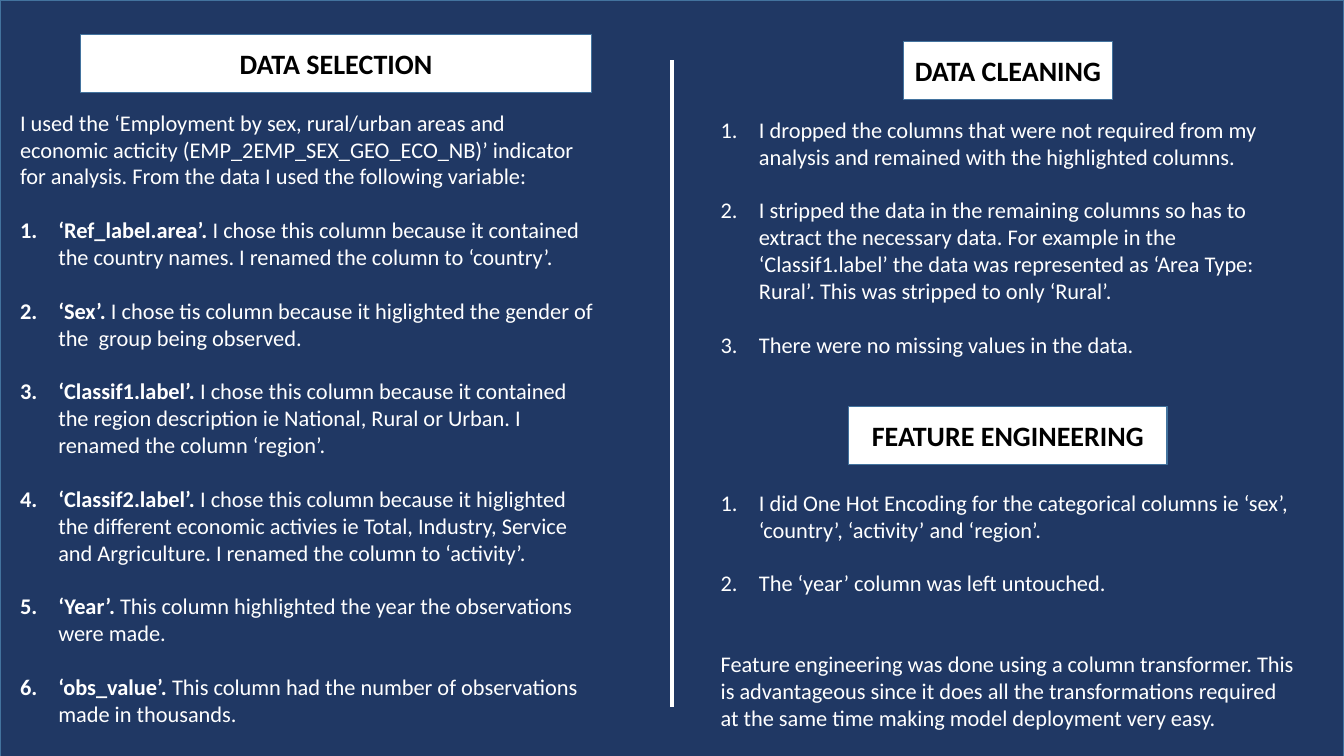
from pptx import Presentation
from pptx.dml.color import RGBColor as RGB
from pptx.enum.shapes import MSO_CONNECTOR as Link, MSO_SHAPE as Shape
from pptx.enum.text import MSO_ANCHOR as Anchor, MSO_AUTO_SIZE as Fit, PP_ALIGN as Align
from pptx.oxml.ns import qn
from pptx.util import Inches, Pt
from lxml.etree import SubElement as Sub


def color(code):
    return RGB.from_string(code)


class Deck:
    """Style and current slide; lengths are percents of the slide's size."""
    navy, edge, white, black = "203864", "43739E", "FFFFFF", "000000"
    body = {"name": "Calibri", "size": Pt(16), "bold": False}
    title = {"name": "Calibri", "size": Pt(20), "bold": True}
    gap = 19.2  # one line of body text, in points

    def __init__(self):
        self.prs = Presentation()
        self.prs.slide_width, self.prs.slide_height = Inches(13.33), Inches(7.5)
        self.slide = self.prs.slides.add_slide(self.prs.slide_layouts[6])

    def place(self, x, y, w, h):
        wide, high = self.prs.slide_width, self.prs.slide_height
        return [int(part * full / 100)
                for part, full in zip((x, y, w, h), (wide, high, wide, high))]

    def run(self, para, text, look, tint, **more):
        run = para.add_run()
        run.text = text
        for key, value in {**look, **more}.items():
            setattr(run.font, key, value)
        run.font.color.rgb = color(tint)

    def rect(self, x, y, w, h, fill):
        box = self.slide.shapes.add_shape(Shape.RECTANGLE, *self.place(x, y, w, h))
        box.shadow.inherit = False
        box.fill.solid()
        box.fill.fore_color.rgb = color(fill)
        box.line.color.rgb = color(self.edge)
        box.line.width = Pt(1)
        return box

    def head(self, mid, y, w, text):
        """Heading box centred on mid."""
        frame = self.rect(mid - w / 2, y, w, 7.73, self.white).text_frame
        frame.word_wrap = False
        frame.vertical_anchor = Anchor.MIDDLE
        para = frame.paragraphs[0]
        para.alignment = Align.CENTER
        self.run(para, text, self.title, self.black)

    def rule(self, x, top, end):
        start, stop = self.place(x, top, 0, 0), self.place(x, end, 0, 0)
        line = self.slide.shapes.add_connector(Link.STRAIGHT, *start[:2], *stop[:2])
        line.line.color.rgb = color(self.white)
        line.line.width = Pt(3)
        Sub(line._element.spPr, qn("a:effectLst"))

    def number(self, para):
        props = para._p.get_or_add_pPr()
        props.set("marL", str(Inches(0.38)))
        props.set("indent", str(-Inches(0.38)))
        Sub(props, qn("a:buFont"), typeface="+mj-lt")
        Sub(props, qn("a:buAutoNum"), type="arabicPeriod")

    def text(self, x, y, h, items):
        """Each item: (blank lines above, numbered, bold lead, rest)."""
        box = self.slide.shapes.add_textbox(*self.place(x, y, 44.33, h))
        frame = box.text_frame
        frame.word_wrap = True
        frame.auto_size = Fit.SHAPE_TO_FIT_TEXT
        for spot, (lines, listed, lead, rest) in enumerate(items):
            para = frame.add_paragraph() if spot else frame.paragraphs[0]
            para.space_before = Pt(lines * self.gap)
            if listed:
                self.number(para)
            if lead:
                self.run(para, lead + " ", self.body, self.white, bold=True)
            self.run(para, rest, self.body, self.white)


def steps(*lines):
    return [(min(spot, 1), True, "", line) for spot, line in enumerate(lines)]


INTRO = ("I used the ‘Employment by sex, rural/urban areas and economic acticity "
         "(EMP_2EMP_SEX_GEO_ECO_NB)’ indicator for analysis. From the data I used "
         "the following variable:")
FIELDS = [
    ("‘Ref_label.area’.", "I chose this column because it contained the country names. "
     "I renamed the column to ‘country’."),
    ("‘Sex’.", "I chose tis column because it higlighted the gender of the  group "
     "being observed."),
    ("‘Classif1.label’.", "I chose this column because it contained the region "
     "description ie National, Rural or Urban. I renamed the column ‘region’."),
    ("‘Classif2.label’.", "I chose this column because it higlighted the different "
     "economic activies ie Total, Industry, Service and Argriculture. I renamed the "
     "column to ‘activity’."),
    ("‘Year’.", "This column highlighted the year the observations were made."),
    ("‘obs_value’.", "This column had the number of observations made in thousands."),
]
CLEAN = steps(
    "I dropped the columns that were not required from my analysis and remained with "
    "the highlighted columns.",
    "I stripped the data in the remaining columns so has to extract the necessary data. "
    "For example in the ‘Classif1.label’ the data was represented as ‘Area Type: Rural’. "
    "This was stripped to only ‘Rural’.",
    "There were no missing values in the data.")
BUILD = steps(
    "I did One Hot Encoding for the categorical columns ie ‘sex’, ‘country’, ‘activity’ "
    "and ‘region’.",
    "The ‘year’ column was left untouched.")
CLOSE = ("Feature engineering was done using a column transformer. This is advantageous "
         "since it does all the transformations required at the same time making model "
         "deployment very easy.")


def main():
    deck = Deck()
    # Backdrop and divider
    deck.rect(0, 0, 100, 105.87, deck.navy)
    deck.rule(50, 8, 93.47)
    # Left half: data selection
    deck.head(25, 4.53, 38, "DATA SELECTION")
    deck.text(0.75, 13.73, 83.87, [(0, False, "", INTRO)]
              + [(1, True, lead, rest) for lead, rest in FIELDS])
    # Right half: cleaning, then feature engineering
    deck.head(75, 5.47, 15.53, "DATA CLEANING")
    deck.text(52.88, 14.67, 33.6, CLEAN)
    deck.head(75, 53.73, 23.7, "FEATURE ENGINEERING")
    deck.text(52.88, 64, 33.6, BUILD + [(2, False, "", CLOSE)])
    deck.prs.save("out.pptx")


if __name__ == "__main__":
    main()
